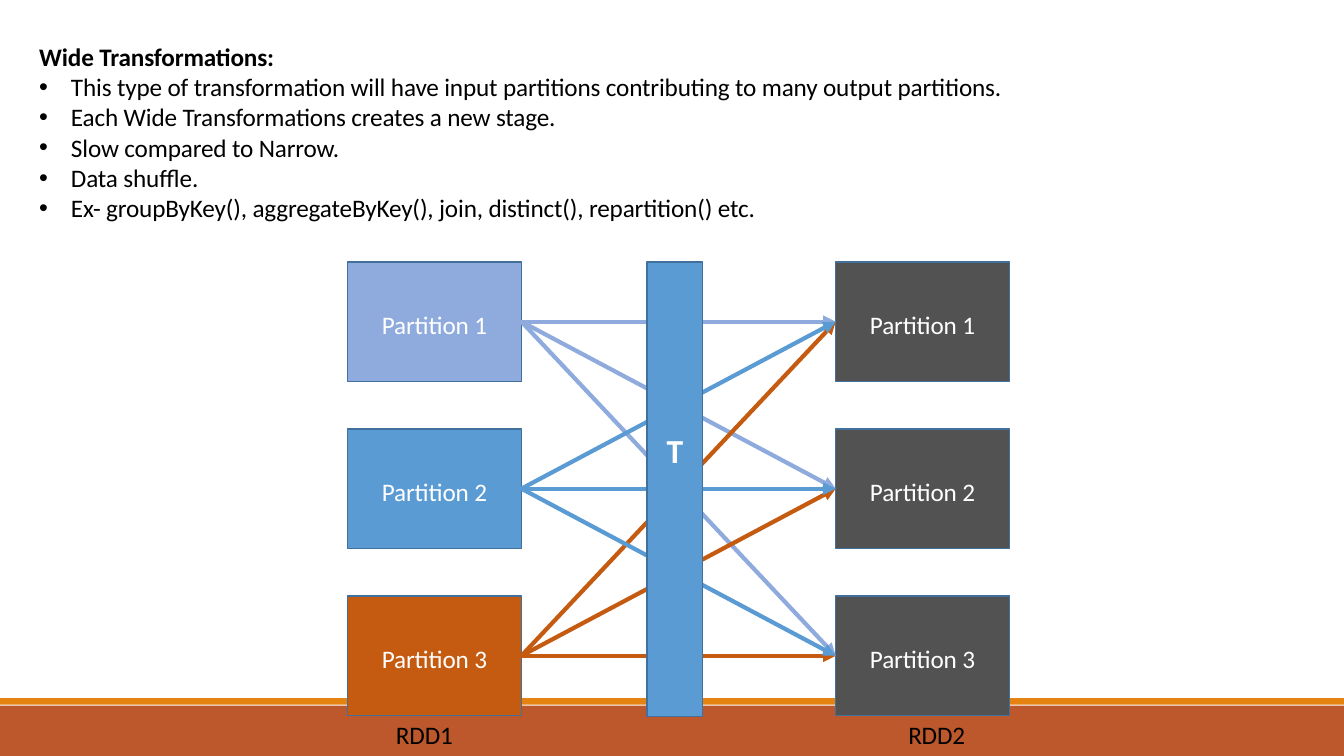
"""Build the wide transformations slide: bullets above a partition shuffle diagram."""
from dataclasses import dataclass

import pptx
import pptx.dml.color
import pptx.enum.shapes
import pptx.enum.text
import pptx.oxml.ns
import pptx.util
from lxml import etree
from pptx.dml.color import RGBColor
from pptx.util import Cm, Pt

WHITE = RGBColor(0xFF, 0xFF, 0xFF)
BLACK = RGBColor(0x00, 0x00, 0x00)
RUST = RGBColor(0xBD, 0x58, 0x2C)
AMBER = RGBColor(0xE4, 0x83, 0x12)
LILAC = RGBColor(0x8F, 0xAA, 0xDC)
BLUE = RGBColor(0x5B, 0x9B, 0xD4)
BROWN = RGBColor(0xC5, 0x5A, 0x11)
GRAY = RGBColor(0x52, 0x52, 0x52)
OUTLINE = RGBColor(0x41, 0x70, 0x9C)

PARTITION_WIDTH, PARTITION_HEIGHT = 4.38, 3.01
DIAGRAM_TOP, PARTITION_PITCH = 6.6, 4.21
INPUT_COLORS = (LILAC, BLUE, BROWN)
ARROW_ORDER = (0, 2, 1)

BODY = {"name": "Calibri", "size": Pt(18), "bold": False}
HEADING = BODY | {"bold": True}
STAGE = HEADING | {"size": Pt(24)}
NO_INSETS = {"margin_left": 0, "margin_right": 0, "margin_top": 0, "margin_bottom": 0}

TITLE = "Wide Transformations:"
POINTS = (
    "This type of transformation will have input partitions contributing to many output partitions.",
    "Each Wide Transformations creates a new stage.",
    "Slow compared to Narrow.",
    "Data shuffle.",
    "Ex- groupByKey(), aggregateByKey(), join, distinct(), repartition() etc.",
)


@dataclass(frozen=True)
class Area:
    """A rectangle on the slide, in centimetres."""
    left: float
    top: float
    width: float
    height: float

    def lengths(self) -> tuple:
        """Return the four lengths for python-pptx."""
        return Cm(self.left), Cm(self.top), Cm(self.width), Cm(self.height)


@dataclass(frozen=True)
class Dataset:
    """A column of partitions with its caption."""
    caption: str
    left: float
    caption_left: float
    colors: tuple


DATASETS = (
    Dataset("RDD1", 8.76, 9.98, INPUT_COLORS),
    Dataset("RDD2", 21.06, 22.89, (GRAY,) * 3),
)


def apply(target: object, values: dict) -> None:
    """Set each attribute named in values."""
    for attribute, value in values.items():
        setattr(target, attribute, value)


def write(paragraph, text: str, style: dict, color: RGBColor) -> None:
    """Add one styled run to a paragraph."""
    run = paragraph.add_run()
    run.text = text
    apply(run.font, style)
    run.font.color.rgb = color
    run._r.get_or_add_rPr().set("spc", "-10")


def draw_box(slide, area: Area, fill: RGBColor, outlined: bool = True):
    """Draw a flat rectangle."""
    box = slide.shapes.add_shape(pptx.enum.shapes.MSO_SHAPE.RECTANGLE, *area.lengths())
    box.shadow.inherit = False
    box.fill.solid()
    box.fill.fore_color.rgb = fill
    if outlined:
        box.line.color.rgb = OUTLINE
        box.line.width = Pt(0.96)
    else:
        box.line.fill.background()
    return box


def label_box(box, text: str, style: dict, insets: dict) -> None:
    """Centre white text in a rectangle."""
    frame = box.text_frame
    apply(frame, NO_INSETS | insets)
    frame.vertical_anchor = pptx.enum.text.MSO_ANCHOR.MIDDLE
    frame.paragraphs[0].alignment = pptx.enum.text.PP_ALIGN.CENTER
    write(frame.paragraphs[0], text, style, WHITE)


def add_text_frame(slide, area: Area):
    """Add a wrapping text box without insets."""
    frame = slide.shapes.add_textbox(*area.lengths()).text_frame
    apply(frame, NO_INSETS | {"word_wrap": True})
    return frame


def add_bullet(paragraph) -> None:
    """Give a paragraph a hanging round bullet."""
    properties = paragraph._p.get_or_add_pPr()
    properties.set("marL", str(Cm(0.8)))
    properties.set("indent", str(Cm(-0.8)))
    etree.SubElement(properties, pptx.oxml.ns.qn("a:buFont"), typeface="Arial")
    etree.SubElement(properties, pptx.oxml.ns.qn("a:buChar"), char="•")


def draw_summary(slide) -> None:
    """Write the heading and its bullet points."""
    frame = add_text_frame(slide, Area(0.99, 0.99, 25.4, 4.65))
    frame.margin_top = Cm(0.05)
    heading = frame.paragraphs[0]
    write(heading, TITLE, HEADING, BLACK)
    for point in POINTS:
        paragraph = frame.add_paragraph()
        add_bullet(paragraph)
        write(paragraph, point, BODY, BLACK)


def draw_dataset(slide, dataset: Dataset) -> list:
    """Draw a column of partitions and its caption."""
    partitions = []
    for index, color in enumerate(dataset.colors):
        top = DIAGRAM_TOP + index * PARTITION_PITCH
        partition = draw_box(
            slide, Area(dataset.left, top, PARTITION_WIDTH, PARTITION_HEIGHT), color)
        label_box(partition, f"Partition {index + 1}", BODY, {"margin_top": Cm(0.12)})
        partitions.append(partition)
    caption = add_text_frame(slide, Area(dataset.caption_left, 18.24, 1.6, 0.7)).paragraphs[0]
    caption.line_spacing = Pt(18.1)
    write(caption, dataset.caption, BODY, BLACK)
    return partitions


def draw_arrow(slide, source, target, color: RGBColor) -> None:
    """Join the right side of source to the left side of target."""
    arrow = slide.shapes.add_connector(pptx.enum.shapes.MSO_CONNECTOR.STRAIGHT, 0, 0, 0, 0)
    arrow.begin_connect(source, 3)
    arrow.end_connect(target, 1)
    arrow.line.color.rgb = color
    arrow.line.width = Pt(3)
    etree.SubElement(arrow.line._get_or_add_ln(), pptx.oxml.ns.qn("a:tailEnd"), type="triangle")
    etree.SubElement(arrow._element.spPr, pptx.oxml.ns.qn("a:effectLst"))


def main() -> None:
    """Create and save the presentation."""
    deck = pptx.Presentation()
    apply(deck, {"slide_width": Cm(33.87), "slide_height": Cm(19.05)})
    slide = deck.slides.add_slide(deck.slide_layouts[6])
    draw_box(slide, Area(0, 17.78, 33.87, 1.27), RUST, outlined=False)
    draw_box(slide, Area(0, 17.59, 33.87, 0.17), AMBER, outlined=False)
    draw_summary(slide)
    inputs, outputs = [draw_dataset(slide, dataset) for dataset in DATASETS]
    for index in ARROW_ORDER:
        for output in outputs:
            draw_arrow(slide, inputs[index], output, INPUT_COLORS[index])
    transformation = draw_box(slide, Area(16.31, DIAGRAM_TOP, 1.4, 11.46), BLUE)
    label_box(transformation, "T", STAGE, {"margin_bottom": Cm(2)})
    deck.save("out.pptx")


if __name__ == "__main__":
    main()
